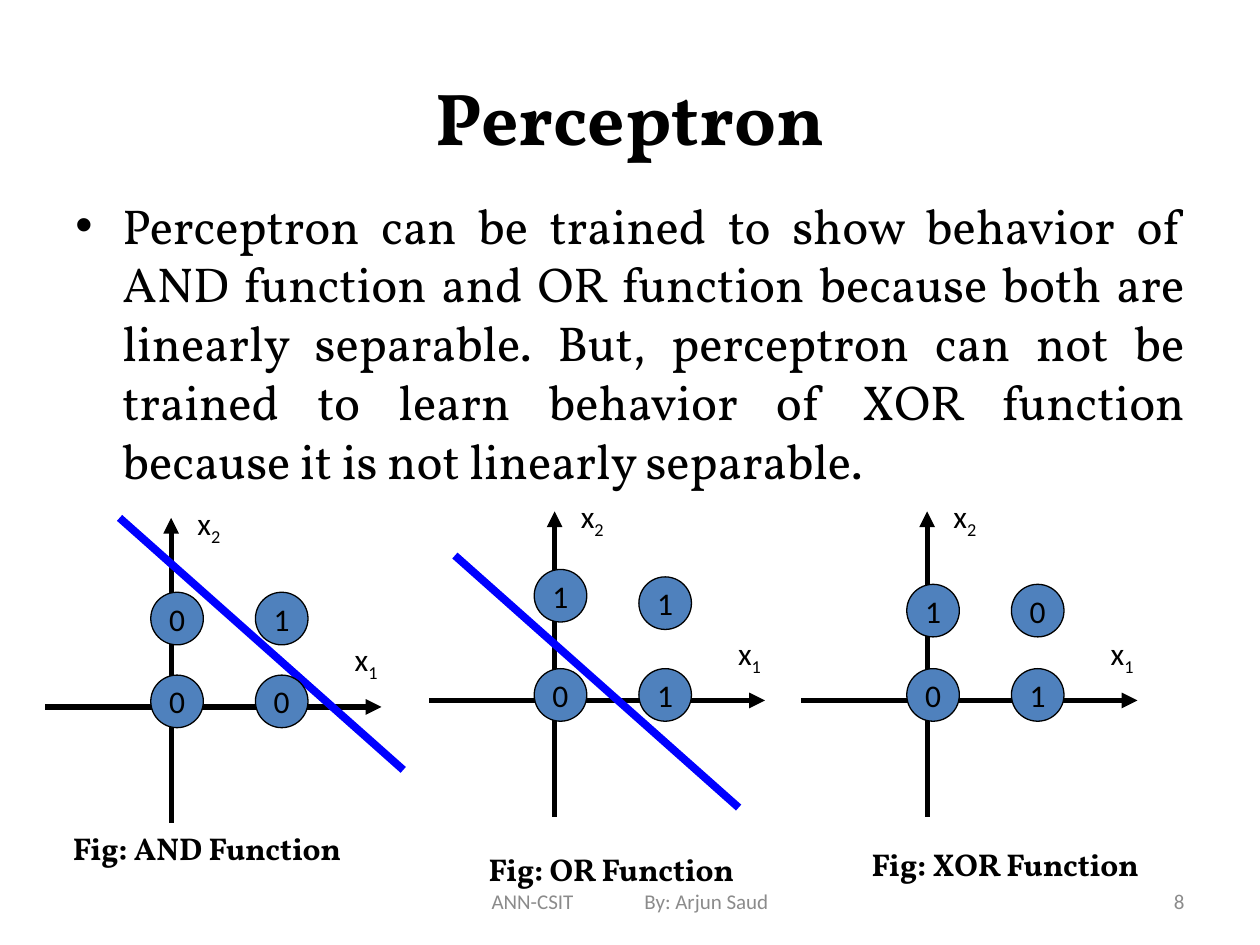
from dataclasses import dataclass

from pptx import Presentation
from pptx import util as u
from pptx.dml.color import RGBColor
from pptx.enum import shapes, text
from pptx.oxml.ns import qn
from lxml import etree

Cm, Pt = u.Cm, u.Pt
ALIGN, ANCHOR, FIT = text.PP_ALIGN, text.MSO_ANCHOR, text.MSO_AUTO_SIZE


@dataclass(frozen=True)
class Theme:
    serif: str = "Vollkorn"
    sans: str = "Calibri"
    ink: RGBColor = RGBColor(0, 0, 0)
    gray: RGBColor = RGBColor(0x8B, 0x8B, 0x8B)
    disc: RGBColor = RGBColor(0x4F, 0x81, 0xBD)
    cut: RGBColor = RGBColor(0, 0, 0xFF)
    head: int = 42
    body: int = 28
    label: int = 18
    foot: int = 12


T = Theme()

# Plots: caption, caption place, origin, separator start, then
# nodes as (x, y, value) measured from the origin, all in cm
LEFT, RIGHT, LOW = -0.41, 1.7, -0.64
PLOTS = [
    ("Fig: AND Function", (1.22, 16.59), (3.45, 14.25), (-1.04, -3.81),
     [(RIGHT, -2.31, 1), (LEFT, -2.31, 0), (LEFT, LOW, 0), (RIGHT, LOW, 0)]),
    ("Fig: OR Function", (9.6, 17.02), (11.18, 14.12), (-2.01, -2.92),
     [(RIGHT, -2.49, 1), (LEFT, -2.64, 1), (LEFT, LOW, 0), (RIGHT, LOW, 1)]),
    ("Fig: XOR Function", (17.32, 16.92), (18.69, 14.12), None,
     [(RIGHT, -2.34, 0), (LEFT, -2.34, 1), (LEFT, LOW, 0), (RIGHT, LOW, 1)]),
]
BODY = ("Perceptron can be trained to show behavior of AND function and OR "
        "function because both are linearly separable. But, perceptron can "
        "not be trained to learn behavior of XOR function because it is not "
        "linearly separable.")


def put(obj, **vals):
    for key, val in vals.items():
        setattr(obj, key, val)


def place(item, x, y, w, h):
    put(item, left=Cm(x), top=Cm(y), width=Cm(w), height=Cm(h))


def style(part, size, name=T.sans, color=T.ink, bold=False):
    put(part.font, size=Pt(size), name=name, bold=bold)
    part.font.color.rgb = color


def write(item, words, size, name=T.sans, color=T.ink, bold=False,
          align=ALIGN.LEFT, **frame):
    put(item.text_frame, **{"word_wrap": True, **frame})
    para = item.text_frame.paragraphs[0]
    para.alignment = align
    run = para.add_run()
    run.text = words
    style(run, size, name, color, bold)
    return para


def add_box(tree, x, y, w, h, words, size, **look):
    box = tree.add_textbox(Cm(x), Cm(y), Cm(w), Cm(h))
    return write(box, words, size, **look)


def add_line(tree, start, end, color, width, arrow=False):
    line = tree.add_connector(shapes.MSO_CONNECTOR.STRAIGHT,
                              *[Cm(v) for v in (*start, *end)])
    line.line.color.rgb = color
    line.line.width = Pt(width)
    if arrow:
        etree.SubElement(line.line._get_or_add_ln(), qn("a:headEnd"),
                         type="triangle")
    etree.SubElement(line._element.spPr, qn("a:effectLst"))


def add_label(tree, x, y, index):
    para = add_box(tree, x, y, 1.12, 1.12, "x", T.label,
                   word_wrap=False, auto_size=FIT.SHAPE_TO_FIT_TEXT)
    sub = para.add_run()
    sub.text = index
    style(sub, T.label)
    sub.font._element.set("baseline", "-25000")


def add_node(tree, x, y, value):
    node = tree.add_shape(shapes.MSO_SHAPE.OVAL,
                          Cm(x), Cm(y), Cm(1.06), Cm(1.06))
    node.shadow.inherit = False
    node.fill.solid()
    node.fill.fore_color.rgb = T.disc
    node.line.color.rgb = T.ink
    node.line.width = Pt(0.75)
    write(node, str(value), T.label, align=ALIGN.CENTER,
          word_wrap=False, vertical_anchor=ANCHOR.MIDDLE)


def add_plot(slide, name, spot, origin, cut, nodes):
    tree = slide.shapes.add_group_shape().shapes if cut else slide.shapes
    ox, oy = origin
    # Axes and their labels
    add_line(tree, (ox, oy - 3.81), (ox, oy + 2.34), T.ink, 3, True)
    add_line(tree, (ox + 4.24, oy), (ox - 2.54, oy), T.ink, 3, True)
    add_label(tree, ox + 3.45, oy - 1.47, "1")
    add_label(tree, ox + 0.28, oy - 4.22, "2")
    # Separating line
    if cut:
        x, y = ox + cut[0], oy + cut[1]
        add_line(tree, (x, y), (x + 5.72, y + 5.08), T.cut, 4.5)
    for x, y, value in nodes:
        add_node(tree, ox + x, oy + y, value)
    add_box(slide.shapes, *spot, 6.12, 1.78, name, T.label,
            name=T.serif, bold=True, auto_size=FIT.SHAPE_TO_FIT_TEXT)


def add_bullet(slide):
    para = add_box(slide.shapes, 1.27, 3.81, 22.86, 13.97, BODY, T.body,
                   name=T.serif, align=ALIGN.JUSTIFY)
    para.space_before = Pt(5.6)
    props = para._p.get_or_add_pPr()
    props.set("marL", str(Cm(0.95)))
    props.set("indent", str(-Cm(0.95)))
    etree.SubElement(props, qn("a:buFont"), typeface="Arial")
    etree.SubElement(props, qn("a:buChar"), char="•")


def add_footer(slide):
    para = add_box(slide.shapes, 8.69, 17.65, 8.05, 1.02,
                   "ANN-CSIT\tBy: Arjun Saud", T.foot, color=T.gray,
                   margin_left=Cm(1.22), vertical_anchor=ANCHOR.MIDDLE)
    tabs = etree.SubElement(para._p.get_or_add_pPr(), qn("a:tabLst"))
    etree.SubElement(tabs, qn("a:tab"), pos=str(Cm(3.08)), algn="l")
    add_box(slide.shapes, 18.21, 17.65, 5.92, 1.02, "8", T.foot,
            color=T.gray, align=ALIGN.RIGHT, vertical_anchor=ANCHOR.MIDDLE)


def main():
    deck = Presentation()
    put(deck, slide_width=Cm(25.4), slide_height=Cm(19.05))
    slide = deck.slides.add_slide(deck.slide_layouts[5])
    # Title and text
    title = slide.shapes.title
    place(title, 1.27, 0.76, 22.86, 3.18)
    write(title, "Perceptron", T.head, name=T.serif, bold=True,
          align=ALIGN.CENTER, vertical_anchor=ANCHOR.MIDDLE)
    add_bullet(slide)
    # Three logic functions
    for plot in PLOTS:
        add_plot(slide, *plot)
    add_footer(slide)
    deck.save("out.pptx")


if __name__ == "__main__":
    main()
